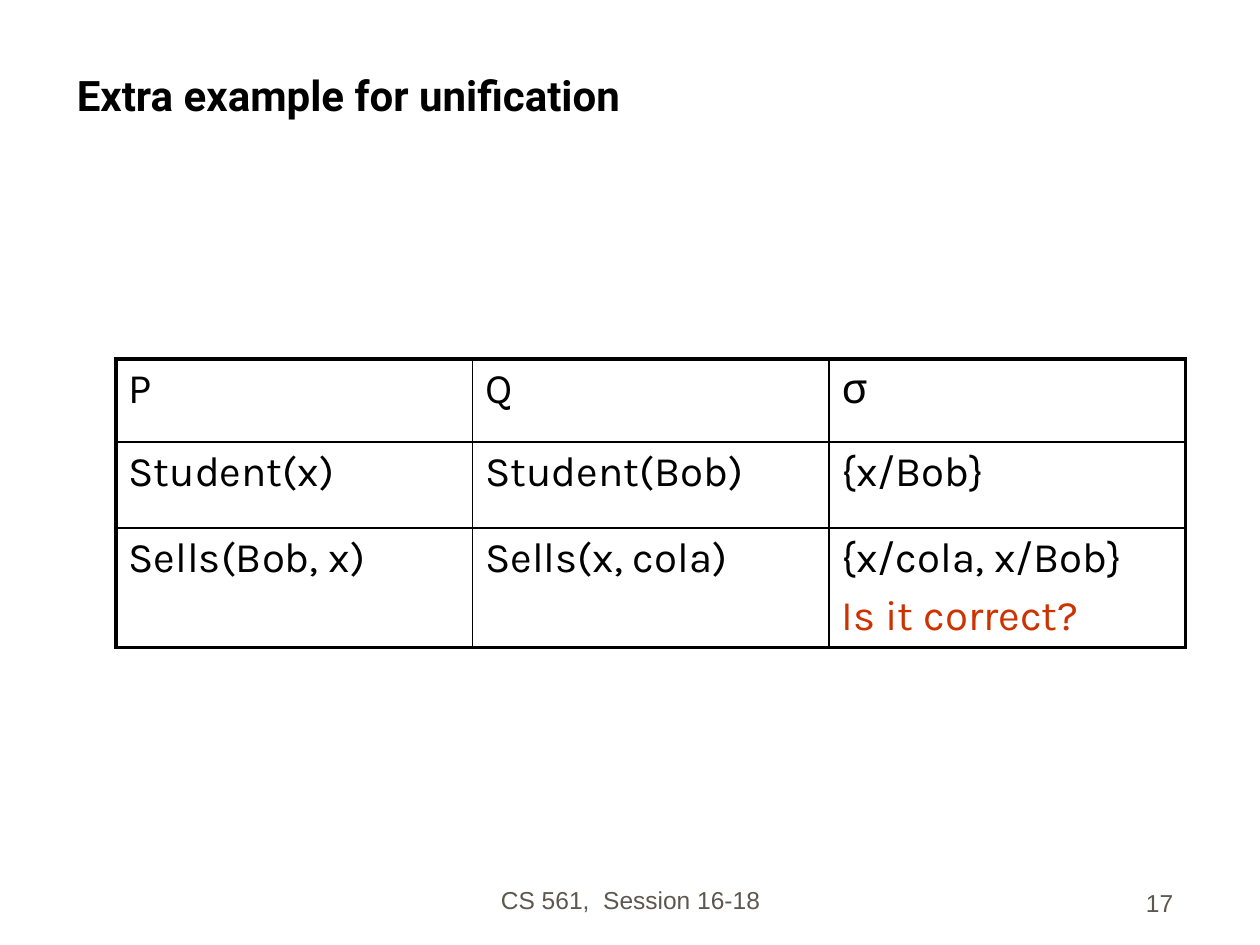
import pptx
import pptx.util
import pptx.dml.color
import pptx.enum.text
import lxml.etree
from pptx.oxml.ns import qn

COLORS = {"black": "000000", "grey": "5E574E", "red": "CC3300"}
ANCHOR = pptx.enum.text.MSO_ANCHOR
ALIGN = pptx.enum.text.PP_ALIGN
Inches, Pt = pptx.util.Inches, pptx.util.Pt


def write(p, text, color, **fmt):
    r = p.add_run()
    r.text = text
    for name, value in fmt.items():
        setattr(r.font, name, value)
    r.font.color.rgb = pptx.dml.color.RGBColor.from_string(COLORS[color])


def border(cell, side, width):
    ln = lxml.etree.SubElement(cell._tc.get_or_add_tcPr(), qn(f"a:ln{side}"), w=str(Pt(width)))
    fill = lxml.etree.SubElement(ln, qn("a:solidFill"))
    lxml.etree.SubElement(fill, qn("a:srgbClr"), val=COLORS["black"])


prs = pptx.Presentation()
prs.slide_width, prs.slide_height = Inches(10), Inches(7.5)
s = prs.slides.add_slide(prs.slide_layouts[5])

# Title
sp = s.shapes.title
sp.left, sp.top, sp.width, sp.height = [Inches(v) for v in (0.51, 0.25, 8.92, 0.75)]
tf = sp.text_frame
tf.vertical_anchor = ANCHOR.BOTTOM
tf.auto_size = pptx.enum.text.MSO_AUTO_SIZE.NONE
p = tf.paragraphs[0]
p.alignment = ALIGN.LEFT
write(p, "Extra example for unification", "black", name="Roboto", size=Pt(24), bold=True)

# Unification table: the last cell holds two paragraphs
rows = [
    ["P", "Q", "σ"],
    ["Student(x)", "Student(Bob)", "{x/Bob}"],
    ["Sells(Bob, x)", "Sells(x, cola)", "{x/cola, x/Bob}\nIs it correct?"],
]
row_heights = [0.66, 0.68, 0.95]
col_width = 2.83
n_rows, n_cols = len(rows), len(rows[0])
table = s.shapes.add_table(n_rows, n_cols, Inches(0.92), Inches(2.85),
                           Inches(n_cols * col_width), Inches(sum(row_heights))).table
table.first_row = table.horz_banding = False
for col in table.columns:
    col.width = Inches(col_width)
for i, (row, height) in enumerate(zip(rows, row_heights)):
    table.rows[i].height = Inches(height)
    for j, text in enumerate(row):
        cell = table.cell(i, j)
        # Thick outer frame, thin inner lines
        outer = {"L": j == 0, "R": j == n_cols - 1, "T": i == 0, "B": i == n_rows - 1}
        for side, is_outer in outer.items():
            border(cell, side, 2.25 if is_outer else 1)
        cell.fill.background()
        tf = cell.text_frame
        for k, line in enumerate(text.split("\n")):
            p = tf.add_paragraph() if k else tf.paragraphs[0]
            if k:
                p.space_before = Pt(4.8)
            write(p, line, "red" if k else "black", name="Karla", size=Pt(24))

# Footer and slide number
footers = [
    ("CS 561,  Session 16-18", (3.42, 6.81, 3.17, 0.5), ALIGN.CENTER),
    ("17", (7.33, 6.83, 2.08, 0.5), ALIGN.RIGHT),
]
for text, box, align in footers:
    tf = s.shapes.add_textbox(*[Inches(v) for v in box]).text_frame
    tf.word_wrap = True
    tf.vertical_anchor = ANCHOR.BOTTOM
    p = tf.paragraphs[0]
    p.alignment = align
    write(p, text, "grey", name="Arial", size=Pt(14))

prs.save("out.pptx")
